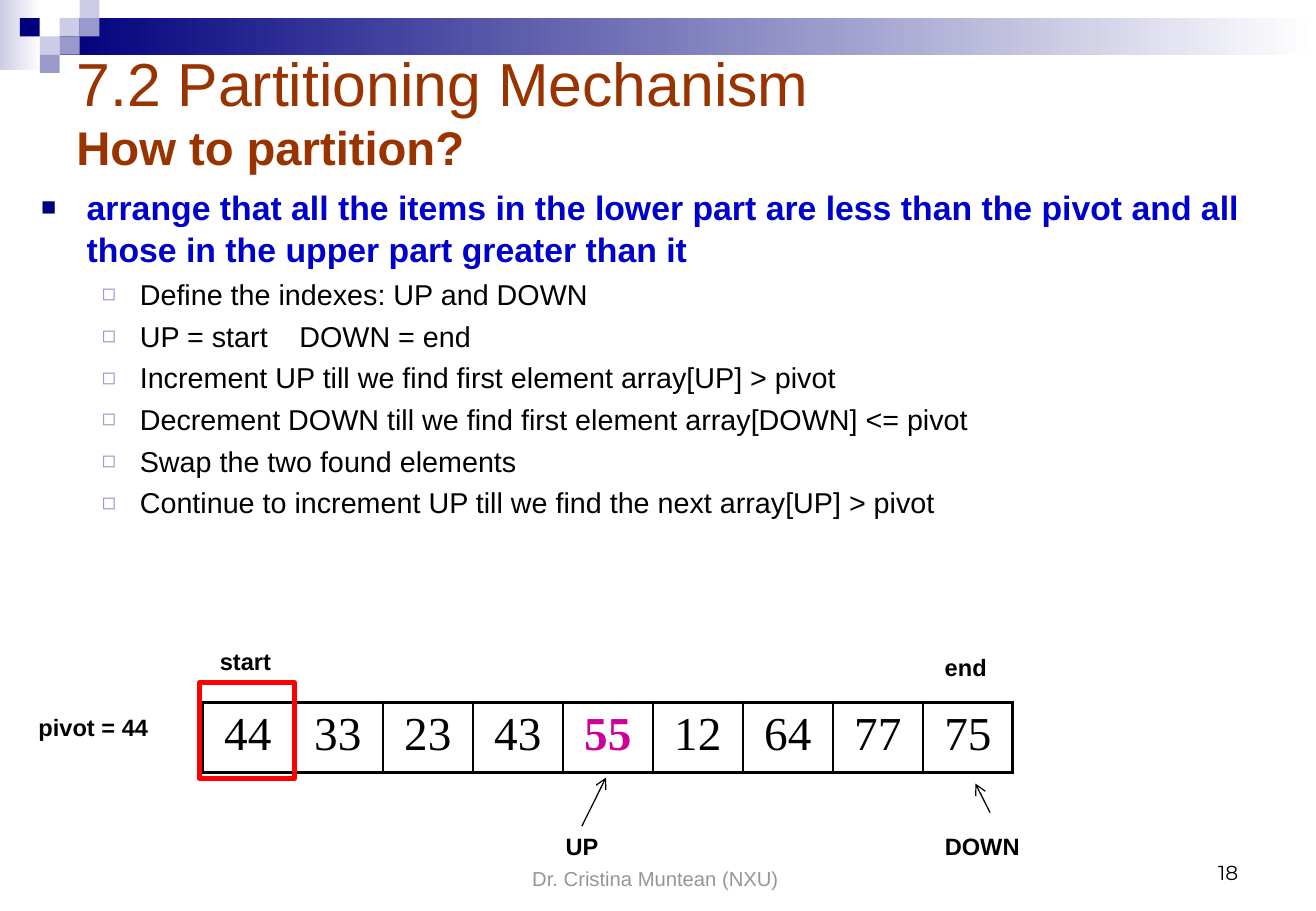
from lxml import etree
from pptx import Presentation
from pptx.dml.color import RGBColor
from pptx.enum.shapes import MSO_CONNECTOR, MSO_SHAPE
from pptx.enum.text import MSO_ANCHOR, PP_ALIGN
from pptx.oxml.ns import qn
from pptx.util import Pt

RECTANGLE = MSO_SHAPE.RECTANGLE
STRAIGHT = MSO_CONNECTOR.STRAIGHT
TOP, BOTTOM = MSO_ANCHOR.TOP, MSO_ANCHOR.BOTTOM
LEFT, CENTER, RIGHT = PP_ALIGN.LEFT, PP_ALIGN.CENTER, PP_ALIGN.RIGHT
NAVY, PALE, LILAC, WHITE, BLACK = "00007D", "CCCCE6", "9999CC", "FFFFFF", "000000"
RUST, BLUE, GREY, RED, MAGENTA = "993300", "0000CC", "969696", "FF0000", "CC0099"

STEPS = [
    "Define the indexes: UP and DOWN",
    "UP = start\tDOWN = end",
    "Increment UP till we find first element array[UP] > pivot",
    "Decrement DOWN till we find first element array[DOWN] <= pivot",
    "Swap the two found elements",
    "Continue to increment UP till we find the next array[UP] > pivot",
]
VALUES = [44, 33, 23, 43, 55, 12, 64, 77, 75]


def color(value):
    """Turn a hex string into a colour."""
    return RGBColor.from_string(value)


def add_element(parent, tag, **attributes):
    """Append a DrawingML element with its attributes."""
    element = etree.SubElement(parent, qn(tag))
    for name, value in attributes.items():
        element.set(name, str(value))
    return element


def write(paragraph, text, size=14, fill=BLACK, bold=False, font="Arial", align=LEFT, before=0):
    """Fill a paragraph with formatted text."""
    paragraph.alignment = align
    paragraph.space_before = Pt(before)
    run = paragraph.add_run()
    run.text = text
    run.font.name, run.font.size, run.font.bold = font, Pt(size), bold
    run.font.color.rgb = color(fill)


def add_frame(slide, box, anchor=TOP):
    """Add a wrapping text box and return its text frame."""
    frame = slide.shapes.add_textbox(*map(Pt, box)).text_frame
    frame.word_wrap = True
    frame.vertical_anchor = anchor
    return frame


def add_label(slide, box, text, anchor=TOP, **style):
    """Add a text box with one line."""
    write(add_frame(slide, box, anchor).paragraphs[0], text, **style)


def add_rectangle(slide, box, fill=None, fade=False, outline=None):
    """Add a plain, fading or outlined rectangle."""
    shape = slide.shapes.add_shape(RECTANGLE, *map(Pt, box))
    shape.shadow.inherit = False
    if fade:
        shape.fill.gradient()
        shape.fill.gradient_angle = 0
        for stop, value in zip(shape.fill.gradient_stops, (fill, WHITE)):
            stop.color.rgb = color(value)
    elif fill:
        shape.fill.solid()
        shape.fill.fore_color.rgb = color(fill)
    else:
        shape.fill.background()
    if outline:
        shape.line.color.rgb = color(outline)
        shape.line.width = Pt(3)
    else:
        shape.line.fill.background()


def add_arrow(slide, start, end):
    """Add a thin line with an open arrowhead at its end."""
    connector = slide.shapes.add_connector(STRAIGHT, *map(Pt, start + end))
    connector.line.color.rgb = color(BLACK)
    connector.line.width = Pt(0.75)
    properties = connector._element.spPr
    add_element(properties.find(qn("a:ln")), "a:tailEnd", type="arrow")
    add_element(properties, "a:effectLst")


def add_bullet(paragraph, character, fill, percent, margin, indent):
    """Give a paragraph a hanging bullet."""
    properties = paragraph._p.get_or_add_pPr()
    properties.set("marL", str(Pt(margin)))
    properties.set("indent", str(Pt(-indent)))
    add_element(add_element(properties, "a:buClr"), "a:srgbClr", val=fill)
    add_element(properties, "a:buSzPct", val=percent * 1000)
    add_element(properties, "a:buFont", typeface="Arial")
    add_element(properties, "a:buChar", char=character)


def add_banner(slide, box):
    """Place the fading bars and the mosaic of squares."""
    left, top, width, height = box
    side, step = 11.8, height / 4
    add_rectangle(slide, (left, top, 24.5, height - 1.5), PALE, fade=True)
    add_rectangle(slide, (left + 3 * side, top + step, width - 3 * side, 2 * step), NAVY, fade=True)
    squares = [(3, 1, PALE), (4, 0, PALE), (4, 1, LILAC), (2, 2, PALE),
               (1, 1, NAVY), (3, 2, LILAC), (2, 3, LILAC)]
    for column, row, fill in squares:
        add_rectangle(slide, (left + column * side, top + row * step, side, step), fill)


def add_title(slide, box):
    """Place the title and its second line."""
    frame = add_frame(slide, box)
    frame.margin_top = frame.margin_bottom = 0
    write(frame.paragraphs[0], "7.2 Partitioning Mechanism", size=36, fill=RUST)
    write(frame.add_paragraph(), "How to partition?", size=28, fill=RUST, bold=True)


def add_steps(slide, box):
    """Place the rule and the steps below it."""
    frame = add_frame(slide, box)
    rule = frame.paragraphs[0]
    write(rule, "arrange that all the items in the lower part are less than the pivot "
          "and all those in the upper part greater than it",
          size=20, fill=BLUE, bold=True, before=1)
    rule.line_spacing = 1.05
    add_bullet(rule, "■", NAVY, 75, 27, 27)
    for text in STEPS:
        paragraph = frame.add_paragraph()
        paragraph.level = 1
        write(paragraph, text, size=17, before=4.3)
        add_bullet(paragraph, "◻", LILAC, 80, 58.5, 22.5)
        if "\t" in text:
            tabs = add_element(paragraph._p.pPr, "a:tabLst")
            add_element(tabs, "a:tab", pos=Pt(153), algn="l")


def add_array(slide, box):
    """Place the row of array values with the pivot framed."""
    left, top, width, height = box
    last = len(VALUES) - 1
    table = slide.shapes.add_table(1, len(VALUES), *map(Pt, box)).table
    table.first_row = table.horz_banding = False
    for index, value in enumerate(VALUES):
        table.columns[index].width = Pt(width / len(VALUES))
        cell = table.cell(0, index)
        found = value == 55
        write(cell.text_frame.paragraphs[0], str(value), size=28, bold=found,
              fill=MAGENTA if found else BLACK, font="Times New Roman", align=CENTER)
        borders = {"L": 1 if index else 2.25, "R": 1 if index < last else 2.25,
                   "T": 2.25, "B": 2.25}
        for edge, weight in borders.items():
            line = add_element(cell._tc.get_or_add_tcPr(), "a:ln" + edge, w=Pt(weight))
            add_element(add_element(line, "a:solidFill"), "a:srgbClr", val=BLACK)
        cell.fill.background()
    add_rectangle(slide, (left - 2, top - 11.5, 56.2, height + 15), outline=RED)


def add_markers(slide, box):
    """Place the labels and arrows around the array."""
    left, top = box[:2]
    labels = [("pivot = 44", -104.5, 3, 96.5), ("start", 3, -36, 50.5), ("end", 432.7, -33, 50.5),
              ("UP", 208, 73.5, 50.5), ("DOWN", 432.7, 73.5, 70)]
    for text, across, down, width in labels:
        add_label(slide, (left + across, top + down, width, 24.5), text, bold=True)
    add_arrow(slide, (left + 224.7, top + 73.5), (left + 239, top + 44.7))
    add_arrow(slide, (left + 466.6, top + 65.5), (left + 458, top + 48.3))


def add_footer(slide, box):
    """Place the author line and the page number."""
    left, top, width, height = box
    add_label(slide, (left, top + 3.6, 247, height), "Dr. Cristina Muntean (NXU)",
              anchor=BOTTOM, size=12, fill=GREY, align=CENTER)
    add_label(slide, (left + width - 182, top, 182, height), "18",
              anchor=BOTTOM, size=12, font="Montserrat", align=RIGHT)


def main():
    """Build and save the slide."""
    presentation = Presentation()
    presentation.slide_width, presentation.slide_height = Pt(780), Pt(540)
    slide = presentation.slides.add_slide(presentation.slide_layouts[6])
    array_box = (120.2, 416.2, 480.2, 41.8)
    add_banner(slide, (0, 0, 780, 43.2))
    add_footer(slide, (265, 491.8, 476, 36))
    add_title(slide, (38.2, 27, 702, 74))
    add_array(slide, array_box)
    add_markers(slide, array_box)
    add_steps(slide, (17.3, 105.8, 742.3, 232.6))
    presentation.save("out.pptx")


main()
